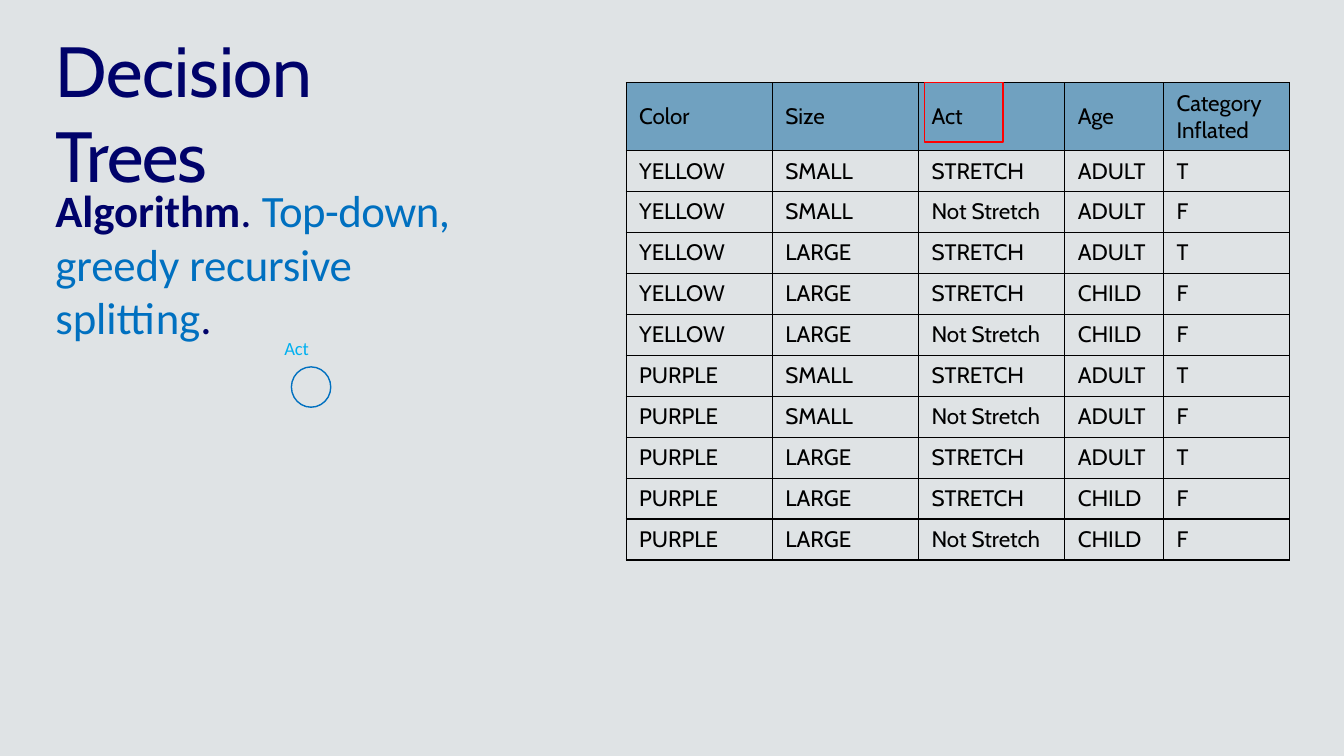
"""Build the decision trees slide with its training table."""

from dataclasses import dataclass

from lxml.etree import SubElement
from pptx import Presentation
from pptx.dml.color import RGBColor
from pptx.enum.shapes import MSO_SHAPE
from pptx.enum.text import MSO_ANCHOR, MSO_AUTO_SIZE
from pptx.oxml.ns import qn
from pptx.slide import Slide
from pptx.table import _Cell
from pptx.text.text import _Run
from pptx.util import Inches, Pt


@dataclass(frozen=True)
class Theme:
    """Colours, fonts and type sizes of the slide."""

    background: str = "DFE3E5"
    navy: str = "00026A"
    blue: str = "0070C0"
    sky: str = "00B0F0"
    red: str = "FF0000"
    black: str = "000000"
    header: str = "70A1C0"
    heading_font: str = "Cabin"
    body_font: str = "Calibri"
    title_size: float = 50.7
    body_size: float = 32
    label_size: float = 13.3
    table_size: float = 16


@dataclass(frozen=True)
class Box:
    """Place and size in inches."""

    left: float
    top: float
    width: float
    height: float

    def lengths(self) -> tuple[Inches, ...]:
        """Give the four lengths in the order python-pptx expects."""
        return tuple(Inches(v) for v in (self.left, self.top, self.width, self.height))


@dataclass(frozen=True)
class Phrase:
    """A stretch of text with one colour, weight and letter spacing."""

    text: str
    color: str
    spacing: float
    bold: bool = False


@dataclass(frozen=True)
class Passage:
    """A text block made of phrases."""

    box: Box
    font: str
    size: float
    phrases: tuple[Phrase, ...]


@dataclass(frozen=True)
class Outline:
    """An unfilled shape with a coloured line."""

    preset: MSO_SHAPE
    box: Box
    color: str


THEME = Theme()

PASSAGES = (
    Passage(Box(0.53, 1.79, 4.19, 1.63), THEME.body_font, THEME.body_size, (
        Phrase("Algorithm", THEME.navy, -0.1, True),
        Phrase(". ", THEME.navy, -0.1),
        Phrase("Top-down, ", THEME.blue, -0.4),
        Phrase("greedy ", THEME.blue, -0.1),
        Phrase("recursive ", THEME.blue, -0.2),
        Phrase("splitting", THEME.blue, -0.1),
        Phrase(".", THEME.navy, -0.1),
    )),
    Passage(Box(0.53, 0.24, 4.15, 0.87), THEME.heading_font, THEME.title_size, (
        Phrase("Decision ", THEME.navy, -0.1),
        Phrase("Trees", THEME.navy, -0.7),
    )),
    Passage(Box(2.8, 3.32, 0.91, 0.24), THEME.body_font, THEME.label_size, (
        Phrase("Act", THEME.sky, -0.1),
    )),
)

OUTLINES = (
    Outline(MSO_SHAPE.OVAL, Box(2.89, 3.64, 0.39, 0.4), THEME.blue),
    Outline(MSO_SHAPE.RECTANGLE, Box(9.17, 0.82, 0.78, 0.59), THEME.red),
)

HEADINGS = ("Color", "Size", "Act", "Age", "Category\nInflated")
CASES = (
    ("SMALL", "STRETCH", "ADULT", "T"),
    ("SMALL", "Not Stretch", "ADULT", "F"),
    ("LARGE", "STRETCH", "ADULT", "T"),
    ("LARGE", "STRETCH", "CHILD", "F"),
    ("LARGE", "Not Stretch", "CHILD", "F"),
)
RECORDS = [(color, *case) for color in ("YELLOW", "PURPLE") for case in CASES]

TABLE_BOX = Box(6.21, 0.82, 6.58, 4.67)
COLUMN_WIDTHS = (1.45, 1.45, 1.45, 0.98, 1.25)
HEADER_HEIGHT = 0.67
RECORD_HEIGHT = 0.4

FRAME_FORMAT = {
    "word_wrap": True,
    "auto_size": MSO_AUTO_SIZE.SHAPE_TO_FIT_TEXT,
    "margin_left": 0,
    "margin_right": 0,
    "margin_top": Inches(0.02),
    "margin_bottom": 0,
}
CELL_FORMAT = {
    "vertical_anchor": MSO_ANCHOR.MIDDLE,
    "margin_left": Inches(0.13),
    "margin_right": Inches(0.13),
    "margin_top": Inches(0.07),
    "margin_bottom": Inches(0.07),
}


def apply_format(target: object, values: dict[str, object]) -> None:
    """Set every named attribute on the target."""
    for name, value in values.items():
        setattr(target, name, value)


def style_run(run: _Run, font: str, size: float, color: str, bold: bool = False) -> None:
    """Give a run its font, size, weight and colour."""
    apply_format(run.font, {"name": font, "size": Pt(size), "bold": bold})
    run.font.color.rgb = RGBColor.from_string(color)


def draw_passage(slide: Slide, passage: Passage) -> None:
    """Write a text block phrase by phrase."""
    frame = slide.shapes.add_textbox(*passage.box.lengths()).text_frame
    apply_format(frame, FRAME_FORMAT)
    paragraph = frame.paragraphs[0]
    paragraph.space_before = Pt(1.3)
    paragraph._p.get_or_add_pPr().set("marL", str(Inches(0.02)))
    for phrase in passage.phrases:
        run = paragraph.add_run()
        run.text = phrase.text
        style_run(run, passage.font, passage.size, phrase.color, phrase.bold)
        run._r.get_or_add_rPr().set("spc", str(round(phrase.spacing * 100)))


def draw_outline(slide: Slide, outline: Outline) -> None:
    """Draw an unfilled marker."""
    marker = slide.shapes.add_shape(outline.preset, *outline.box.lengths())
    marker.shadow.inherit = False
    marker.fill.background()
    marker.line.color.rgb = RGBColor.from_string(outline.color)
    marker.line.width = Pt(1)


def draw_borders(cell: _Cell) -> None:
    """Rule all four sides of a cell."""
    properties = cell._tc.get_or_add_tcPr()
    for side in ("a:lnL", "a:lnR", "a:lnT", "a:lnB"):
        border = SubElement(properties, qn(side), w=str(Pt(1)))
        solid = SubElement(border, qn("a:solidFill"))
        SubElement(solid, qn("a:srgbClr"), val=THEME.black)


def fill_cell(cell: _Cell, text: str, is_heading: bool) -> None:
    """Write and style one table cell."""
    apply_format(cell, {"text": text, **CELL_FORMAT})
    draw_borders(cell)
    if is_heading:
        cell.fill.solid()
        cell.fill.fore_color.rgb = RGBColor.from_string(THEME.header)
    else:
        cell.fill.background()
    for paragraph in cell.text_frame.paragraphs:
        for run in paragraph.runs:
            style_run(run, THEME.heading_font, THEME.table_size, THEME.black)


def draw_training_table(slide: Slide) -> None:
    """Draw the table of training records."""
    lines = [HEADINGS, *RECORDS]
    table = slide.shapes.add_table(len(lines), len(HEADINGS), *TABLE_BOX.lengths()).table
    apply_format(table, {"first_row": False, "horz_banding": False})
    for column, width in zip(table.columns, COLUMN_WIDTHS):
        column.width = Inches(width)
    for index, (row, texts) in enumerate(zip(table.rows, lines)):
        row.height = Inches(RECORD_HEIGHT if index else HEADER_HEIGHT)
        for cell, text in zip(row.cells, texts):
            fill_cell(cell, text, index == 0)


def main() -> None:
    """Build and save the slide."""
    deck = Presentation()
    apply_format(deck, {"slide_width": Inches(13.33), "slide_height": Inches(7.5)})
    slide = deck.slides.add_slide(deck.slide_layouts[6])
    slide.background.fill.solid()
    slide.background.fill.fore_color.rgb = RGBColor.from_string(THEME.background)
    for passage in PASSAGES:
        draw_passage(slide, passage)
    draw_training_table(slide)
    for outline in OUTLINES:
        draw_outline(slide, outline)
    deck.save("out.pptx")


if __name__ == "__main__":
    main()
